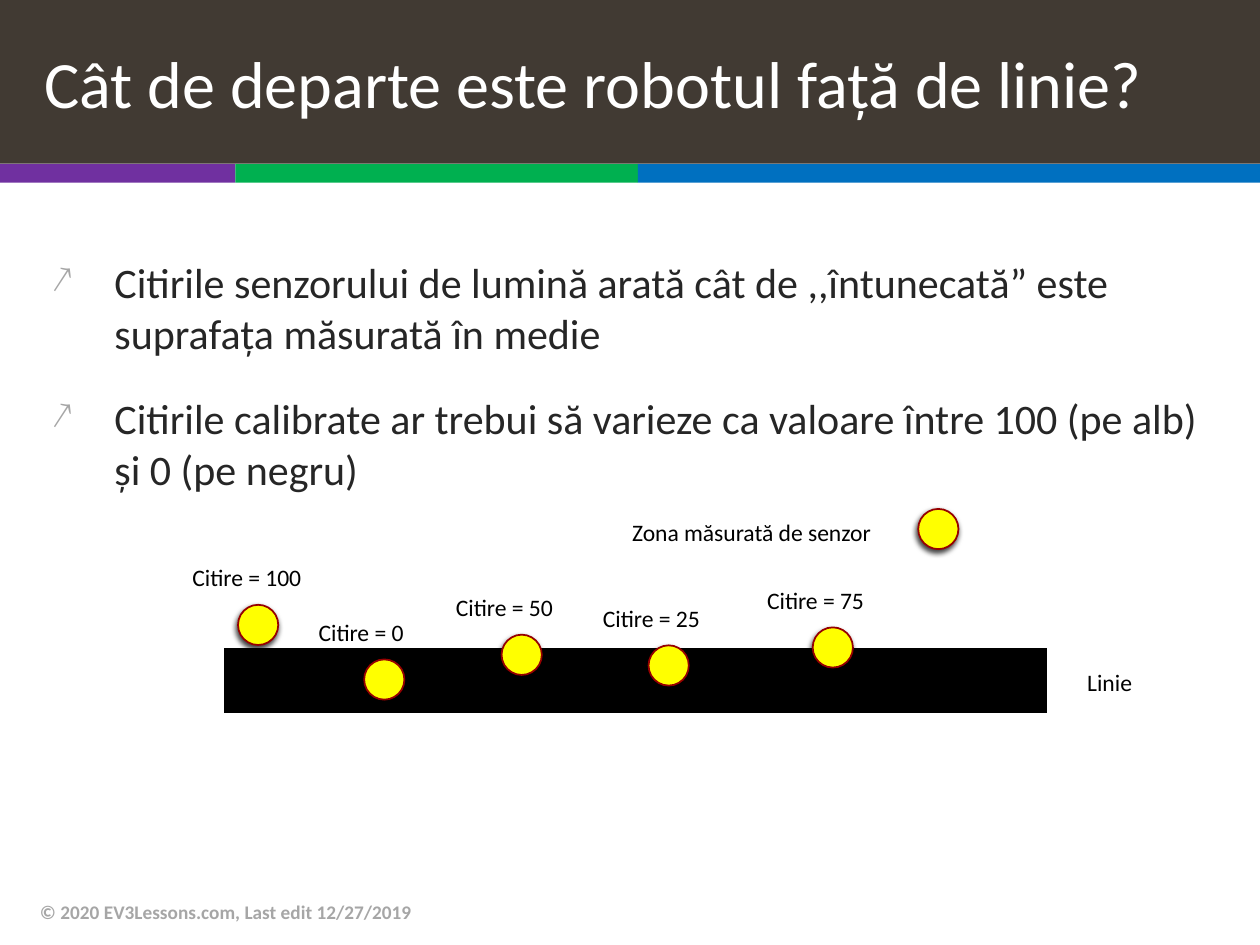
"""Build the slide on how far the robot is from the line."""
from lxml import etree
from pptx import Presentation
from pptx.dml.color import RGBColor
from pptx.enum.shapes import MSO_CONNECTOR, MSO_SHAPE
from pptx.enum.text import MSO_ANCHOR, PP_ALIGN
from pptx.oxml.ns import qn
from pptx.util import Pt

RECT, OVAL = MSO_SHAPE.RECTANGLE, MSO_SHAPE.OVAL
STRAIGHT = MSO_CONNECTOR.STRAIGHT
LEFT, MIDDLE, TOP = PP_ALIGN.LEFT, MSO_ANCHOR.MIDDLE, MSO_ANCHOR.TOP

WHITE = RGBColor(0xFF, 0xFF, 0xFF)
BLACK = RGBColor(0, 0, 0)
BROWN = RGBColor(0x41, 0x3A, 0x33)
PURPLE = RGBColor(0x70, 0x30, 0xA0)
GREEN = RGBColor(0, 0xB0, 0x50)
BLUE = RGBColor(0, 0x70, 0xC0)
GREY = RGBColor(0xA6, 0xA6, 0xA6)
DARK = RGBColor(0x26, 0x26, 0x26)
YELLOW = RGBColor(0xFF, 0xFF, 0)
RED = RGBColor(0x96, 0, 0)

FONT = "Calibri"
WIDE, HIGH = 720, 540
HEAD, STRIPE = 93.6, 10.8
DOT = 23
SHIFT_X, SHIFT_Y = -33.1, -27.2
LABEL_H = 23.8

TITLE = "Cât de departe este robotul față de linie?"
POINTS = [
    "Citirile senzorului de lumină arată cât de ,,întunecată” este suprafața măsurată în medie",
    "Citirile calibrate ar trebui să varieze ca valoare între 100 (pe alb) și 0 (pe negru)",
]
FOOTER = "© 2020 EV3Lessons.com, Last edit 12/27/2019"
STRIPES = [(0, PURPLE), (134.5, GREEN), (364.5, BLUE)]
READS = [
    (100, 136, 345.6, 77.8),
    (0, 208.1, 376.8, 64),
    (50, 286.6, 362.7, 70.8),
    (25, 370.6, 368.8, 70.8),
    (75, 464.4, 358.5, 70.8),
]
KEY_DOT = (524.7, 290.8)
NOTES = [("Zona măsurată de senzor", 354.2, 292.3, 153.4), ("Linie", 614.2, 378, 40.3)]
LINE_X, LINE_Y, LINE_W = (128.2, 598.3), 388.8, 36.75


def add_shape(slide, kind, x, y, w, h, fill):
    shape = slide.shapes.add_shape(kind, Pt(x), Pt(y), Pt(w), Pt(h))
    shape.shadow.inherit = False
    shape.fill.solid()
    shape.fill.fore_color.rgb = fill
    shape.line.fill.background()
    return shape


def add_dot(slide, x, y):
    dot = add_shape(slide, OVAL, x, y, DOT, DOT, YELLOW)
    dot.line.color.rgb = RED
    dot.line.width = Pt(1)
    effects = dot._element.spPr.find(qn("a:effectLst"))
    shade = etree.SubElement(effects, qn("a:outerShdw"), blurRad=str(Pt(3)),
                             dist=str(Pt(2)), dir=str(110 * 60000), rotWithShape="0")
    tint = etree.SubElement(shade, qn("a:srgbClr"), val=str(BLACK))
    etree.SubElement(tint, qn("a:alpha"), val="75000")


def add_bullet(para):
    props = para._p.get_or_add_pPr()
    props.set("marL", str(Pt(36)))
    props.set("indent", str(-Pt(36)))
    color = etree.SubElement(props, qn("a:buClr"))
    etree.SubElement(color, qn("a:srgbClr"), val=str(GREY))
    etree.SubElement(props, qn("a:buSzPct"), val="90000")
    etree.SubElement(props, qn("a:buChar"), char="↗")


def write(shape, lines, size, color, wrap=True, anchor=TOP, bold=False, bullet=False):
    frame = shape.text_frame
    frame.word_wrap = wrap
    frame.vertical_anchor = anchor
    for i, line in enumerate(lines):
        para = frame.add_paragraph() if i else frame.paragraphs[0]
        para.text = line
        para.alignment = LEFT
        if i:
            para.space_before = Pt(20)
        if bullet:
            add_bullet(para)
        font = para.font
        font.name, font.size, font.bold = FONT, Pt(size), bold
        font.color.rgb = color


def add_text(slide, x, y, w, h, lines, size, color, **style):
    box = slide.shapes.add_textbox(Pt(x), Pt(y), Pt(w), Pt(h))
    write(box, lines, size, color, **style)


def add_label(slide, text, x, y, w):
    add_text(slide, x, y, w, LABEL_H, [text], 13.5, BLACK, wrap=False)


def main():
    deck = Presentation()
    deck.slide_width, deck.slide_height = Pt(WIDE), Pt(HIGH)
    slide = deck.slides.add_slide(deck.slide_layouts[6])

    ends = [x for x, _ in STRIPES[1:]] + [WIDE]
    for (x, color), end in zip(STRIPES, ends):
        add_shape(slide, RECT, x, HEAD, end - x, STRIPE, color)

    add_text(slide, 22.3, 143.3, 675.4, 339, POINTS, 24, DARK, bullet=True)
    add_text(slide, 15.8, 506.9, 482.4, 28.8, [FOOTER], 11, GREY, anchor=MIDDLE, bold=True)
    head = add_shape(slide, RECT, 0, 0, WIDE, HEAD, BROWN)
    head.text_frame.margin_left = Pt(25.2)
    write(head, [TITLE], 37.8, WHITE, anchor=MIDDLE)

    start, end = LINE_X
    track = slide.shapes.add_connector(STRAIGHT, Pt(start), Pt(LINE_Y), Pt(end), Pt(LINE_Y))
    track.line.color.rgb = BLACK
    track.line.width = Pt(LINE_W)
    etree.SubElement(track._element.spPr, qn("a:effectLst"))

    add_dot(slide, *KEY_DOT)
    for note in NOTES:
        add_label(slide, *note)
    for value, x, y, w in READS:
        add_dot(slide, x, y)
        add_label(slide, f"Citire = {value}", x + SHIFT_X, y + SHIFT_Y, w)

    deck.save("out.pptx")


if __name__ == "__main__":
    main()
